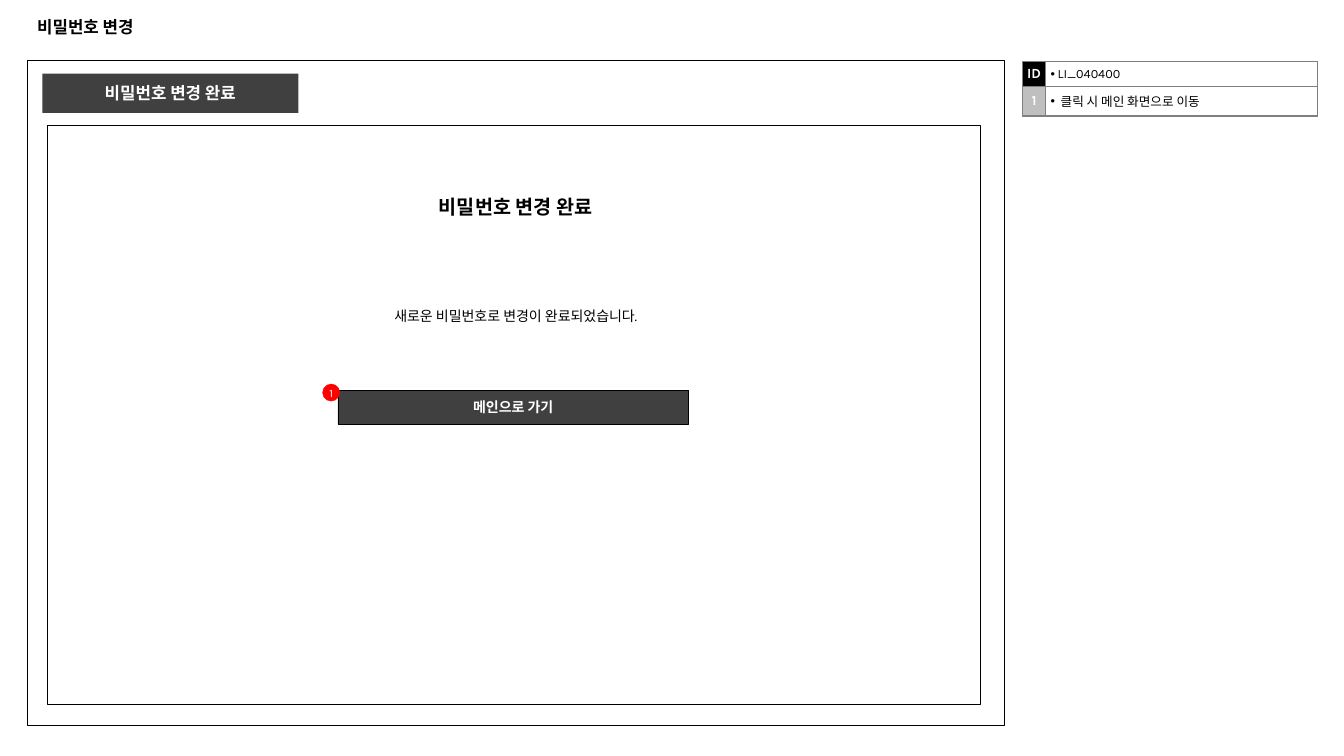
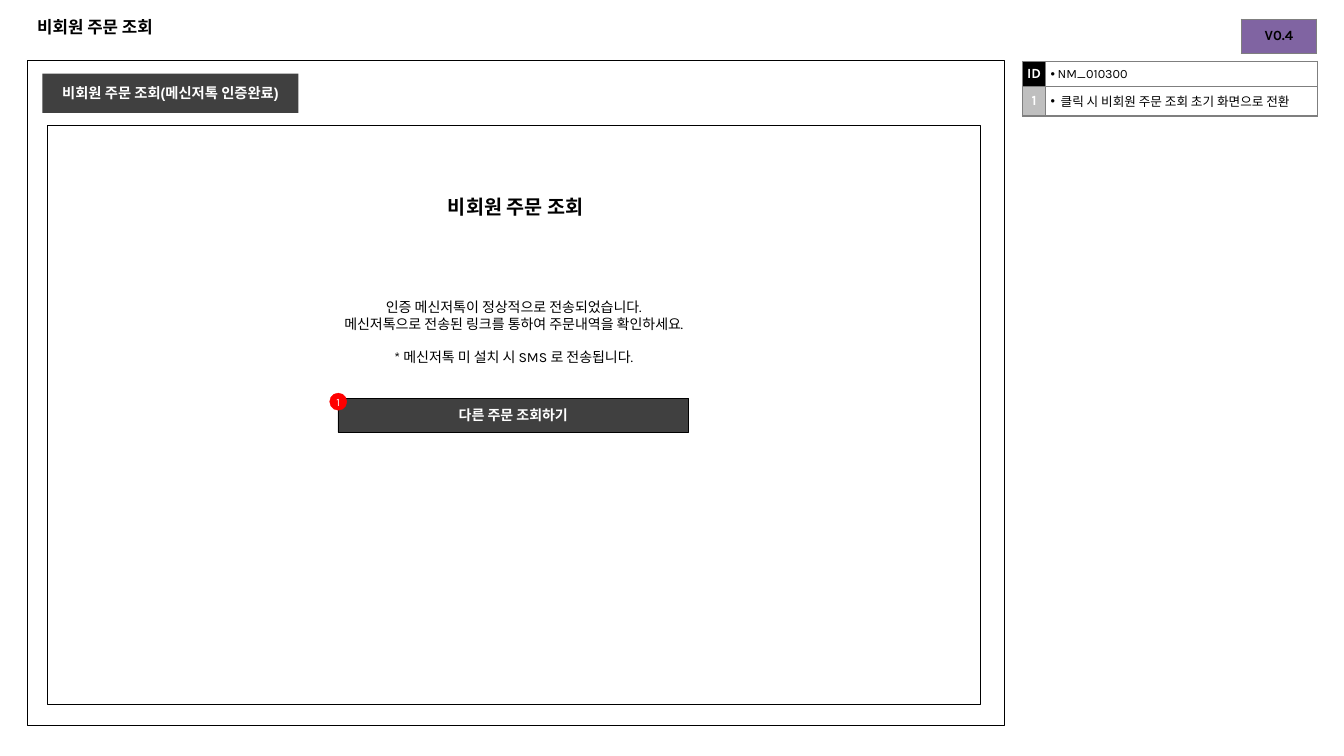
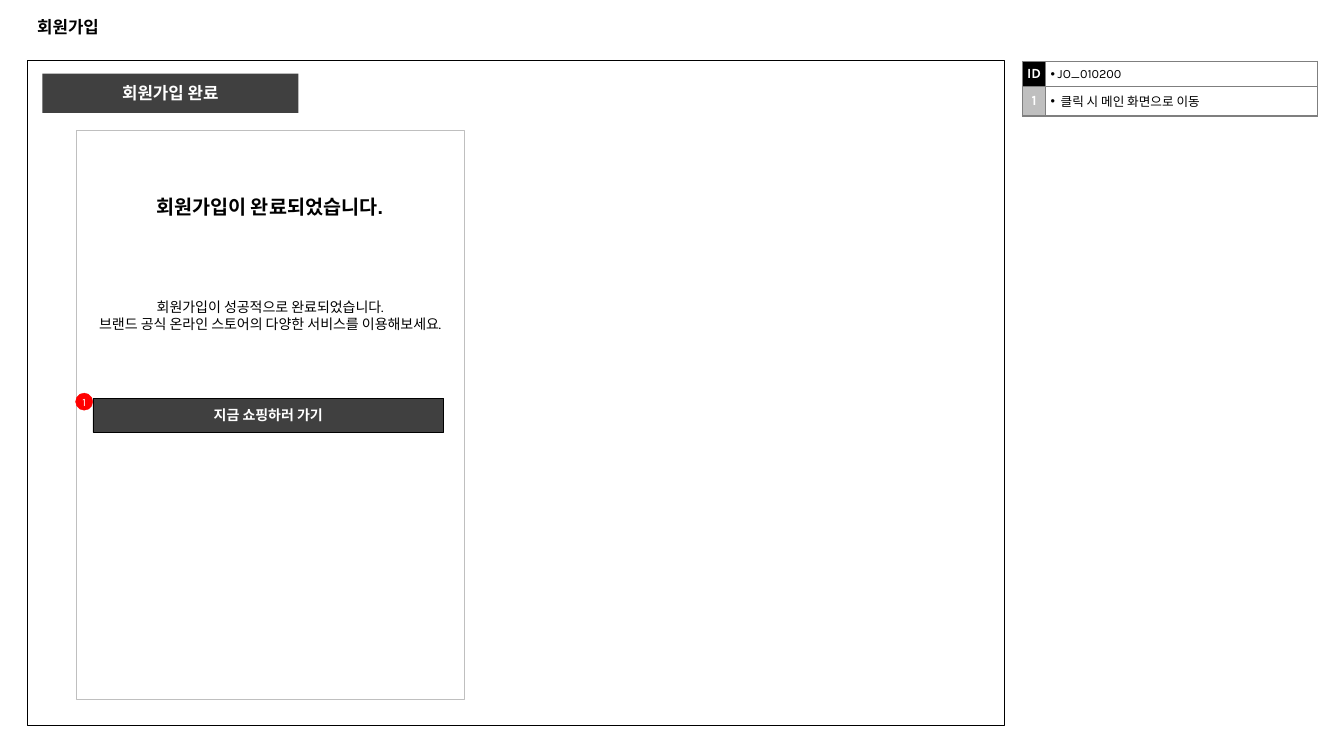
from dataclasses import dataclass
from typing import Optional

from lxml import etree
from pptx import Presentation
from pptx.dml.color import RGBColor
from pptx.enum.shapes import MSO_SHAPE
from pptx.enum.text import MSO_ANCHOR, PP_ALIGN
from pptx.oxml.ns import qn
from pptx.util import Inches, Pt

RECTANGLE, OVAL = MSO_SHAPE.RECTANGLE, MSO_SHAPE.OVAL
TOP, MIDDLE = MSO_ANCHOR.TOP, MSO_ANCHOR.MIDDLE
LEFT, CENTER = PP_ALIGN.LEFT, PP_ALIGN.CENTER

COLORS = {
    "black": "000000",
    "white": "FFFFFF",
    "dark": "404040",
    "border": "7F7F7F",
    "light": "BFBFBF",
    "marker": "FF0000",
    "version": "8064A2",
}
HEADING_FONT, BODY_FONT, KOREAN_FONT = "Arial", "Karla", "Noto Sans CJK KR"
DEFAULT_INSETS = (0.1, 0.05)
BUTTON_SIZE = (3.48, 0.34)
MARKER_SIZE = 0.17


@dataclass(frozen=True)
class Box:
    left: float
    top: float
    width: float
    height: float

    def lengths(self) -> tuple:
        return tuple(Inches(v) for v in (self.left, self.top, self.width, self.height))


@dataclass(frozen=True)
class Style:
    size: float
    font: str = BODY_FONT
    color: str = "black"
    bold: bool = False
    align: PP_ALIGN = CENTER


@dataclass(frozen=True)
class Line:
    text: str
    space_before: float = 0


@dataclass(frozen=True)
class Cell:
    text: str
    style: Style
    fill: Optional[str] = None
    bullet_indent: float = 0
    inset: float = 0
    anchor: MSO_ANCHOR = MIDDLE


@dataclass(frozen=True)
class Screen:
    title: str
    label: str
    screen_id: str
    action: str
    panel: Box
    panel_line: str
    heading: str
    heading_box: Box
    message: tuple[Line, ...]
    message_box: Box
    button: str
    button_at: tuple[float, float]
    marker_at: tuple[float, float]
    label_size: float = 12
    version: Optional[str] = None


TITLE_STYLE = Style(12, HEADING_FONT, bold=True, align=LEFT)
HEADING_STYLE = Style(14, HEADING_FONT, bold=True)
MESSAGE_STYLE = Style(10)
BUTTON_STYLE = Style(10, KOREAN_FONT, "white", True)
MARKER_STYLE = Style(8, color="white")
KEY_STYLE = Style(10, color="white", bold=True)
NOTE_STYLE = Style(9, align=LEFT)
VERSION_STYLE = Style(10, bold=True)

TITLE_BOX = Box(0.27, 0.07, 12.79, 0.39)
FRAME_BOX = Box(0.27, 0.6, 9.69, 6.6)
LABEL_BOX = Box(0.42, 0.73, 2.54, 0.39)
WIDE_PANEL = Box(0.47, 1.24, 9.25, 5.75)
NARROW_PANEL = Box(0.76, 1.29, 3.84, 5.65)

SCREENS = (
    Screen(
        title="비밀번호 변경",
        label="비밀번호 변경 완료",
        screen_id="LI_040400",
        action="클릭 시 메인 화면으로 이동",
        panel=WIDE_PANEL,
        panel_line="black",
        heading="비밀번호 변경 완료",
        heading_box=Box(3.64, 1.88, 2.95, 0.34),
        message=(Line("새로운 비밀번호로 변경이 완료되었습니다."),),
        message_box=Box(3.21, 3.01, 3.81, 0.3),
        button="메인으로 가기",
        button_at=(3.35, 3.87),
        marker_at=(3.2, 3.81),
    ),
    Screen(
        title="비회원 주문 조회",
        label="비회원 주문 조회(메신저톡 인증완료)",
        label_size=10.2,
        screen_id="NM_010300",
        action="클릭 시 비회원 주문 조회 초기 화면으로 전환",
        panel=WIDE_PANEL,
        panel_line="black",
        heading="비회원 주문 조회",
        heading_box=Box(3.69, 1.88, 2.85, 0.34),
        message=(
            Line("인증 메신저톡이 정상적으로 전송되었습니다."),
            Line("메신저톡으로 전송된 링크를 통하여 주문내역을 확인하세요."),
            Line("* 메신저톡 미 설치 시 SMS 로 전송됩니다.", 12),
        ),
        message_box=Box(3.07, 2.92, 4.05, 0.65),
        button="다른 주문 조회하기",
        button_at=(3.35, 3.95),
        marker_at=(3.27, 3.9),
        version="V0.4",
    ),
    Screen(
        title="회원가입",
        label="회원가입 완료",
        screen_id="JO_010200",
        action="클릭 시 메인 화면으로 이동",
        panel=NARROW_PANEL,
        panel_line="light",
        heading="회원가입이 완료되었습니다.",
        heading_box=Box(1.25, 1.88, 2.85, 0.34),
        message=(
            Line("회원가입이 성공적으로 완료되었습니다."),
            Line("브랜드 공식 온라인 스토어의 다양한 서비스를 이용해보세요."),
        ),
        message_box=Box(0.76, 2.92, 3.84, 0.65),
        button="지금 쇼핑하러 가기",
        button_at=(0.92, 3.95),
        marker_at=(0.75, 3.9),
    ),
)


def rgb(name: str) -> RGBColor:
    return RGBColor.from_string(COLORS[name])


def style_paragraph(paragraph, text: str, style: Style) -> None:
    paragraph.text = text
    paragraph.alignment = style.align
    font = paragraph.font
    font.size = Pt(style.size)
    font.bold = style.bold
    font.name = style.font
    font.color.rgb = rgb(style.color)
    properties = paragraph._p.get_or_add_pPr().get_or_add_defRPr()
    etree.SubElement(properties, qn("a:ea"), typeface=KOREAN_FONT)


def write_lines(frame, lines: tuple[Line, ...], style: Style,
                insets: tuple[float, float] = DEFAULT_INSETS,
                anchor: MSO_ANCHOR = MIDDLE) -> None:
    frame.word_wrap = True
    frame.vertical_anchor = anchor
    frame.margin_left = frame.margin_right = Inches(insets[0])
    frame.margin_top = frame.margin_bottom = Inches(insets[1])
    for index, line in enumerate(lines):
        paragraph = frame.add_paragraph() if index else frame.paragraphs[0]
        if line.space_before:
            paragraph.space_before = Pt(line.space_before)
        style_paragraph(paragraph, line.text, style)


def draw_text(slide, box: Box, lines: tuple[Line, ...], style: Style,
              insets: tuple[float, float] = DEFAULT_INSETS,
              anchor: MSO_ANCHOR = TOP) -> None:
    text_box = slide.shapes.add_textbox(*box.lengths())
    write_lines(text_box.text_frame, lines, style, insets, anchor)


def draw_shape(slide, box: Box, fill: Optional[str] = None, line: Optional[str] = None,
               line_width: float = 0.25, text: str = "", style: Optional[Style] = None,
               kind: MSO_SHAPE = RECTANGLE,
               insets: tuple[float, float] = DEFAULT_INSETS) -> None:
    shape = slide.shapes.add_shape(kind, *box.lengths())
    shape.shadow.inherit = False
    if fill:
        shape.fill.solid()
        shape.fill.fore_color.rgb = rgb(fill)
    else:
        shape.fill.background()
    if line:
        shape.line.color.rgb = rgb(line)
        shape.line.width = Pt(line_width)
    else:
        shape.line.fill.background()
    if style:
        write_lines(shape.text_frame, (Line(text),), style, insets)


def add_borders(table_cell) -> None:
    properties = table_cell._tc.get_or_add_tcPr()
    for side in ("a:lnL", "a:lnR", "a:lnT", "a:lnB"):
        border = etree.SubElement(properties, qn(side), w=str(Pt(1)))
        solid = etree.SubElement(border, qn("a:solidFill"))
        etree.SubElement(solid, qn("a:srgbClr"), val=COLORS["border"])


def add_bullet(paragraph, indent: float) -> None:
    properties = paragraph._p.get_or_add_pPr()
    properties.set("marL", str(Inches(indent)))
    properties.set("indent", str(-Inches(indent)))
    etree.SubElement(properties, qn("a:buFont"), typeface="Arial")
    etree.SubElement(properties, qn("a:buChar"), char="•")


def fill_cell(table_cell, cell: Cell) -> None:
    add_borders(table_cell)
    if cell.fill:
        table_cell.fill.solid()
        table_cell.fill.fore_color.rgb = rgb(cell.fill)
    else:
        table_cell.fill.background()
    table_cell.vertical_anchor = cell.anchor
    table_cell.margin_left = table_cell.margin_right = Inches(cell.inset)
    table_cell.margin_top = table_cell.margin_bottom = Inches(cell.inset)
    paragraph = table_cell.text_frame.paragraphs[0]
    if cell.bullet_indent:
        add_bullet(paragraph, cell.bullet_indent)
    style_paragraph(paragraph, cell.text, cell.style)


def draw_table(slide, left: float, top: float, widths: tuple[float, ...],
               heights: tuple[float, ...], rows: tuple[tuple[Cell, ...], ...]) -> None:
    box = Box(left, top, sum(widths), sum(heights))
    table = slide.shapes.add_table(len(rows), len(widths), *box.lengths()).table
    table.first_row = table.horz_banding = False
    for column, width in zip(table.columns, widths):
        column.width = Inches(width)
    for row_index, (cells, height) in enumerate(zip(rows, heights)):
        table.rows[row_index].height = Inches(height)
        for column_index, cell in enumerate(cells):
            fill_cell(table.cell(row_index, column_index), cell)


def note_cell(text: str, indent: float) -> Cell:
    return Cell(text, NOTE_STYLE, bullet_indent=indent, inset=0.05, anchor=TOP)


def draw_screen(slide, screen: Screen) -> None:
    draw_shape(slide, FRAME_BOX, line="black", line_width=0.75)
    draw_text(slide, TITLE_BOX, (Line(screen.title),), TITLE_STYLE, anchor=MIDDLE)
    draw_shape(slide, screen.panel, line=screen.panel_line)
    draw_shape(slide, LABEL_BOX, "dark", text=screen.label,
               style=Style(screen.label_size, HEADING_FONT, "white", True))
    draw_table(slide, 10.14, 0.61, (0.23, 2.7), (0.25, 0.29), (
        (Cell("ID", KEY_STYLE, "black"), note_cell(screen.screen_id, 0.07)),
        (Cell("1", KEY_STYLE, "light"), note_cell(screen.action, 0.1)),
    ))
    draw_text(slide, screen.heading_box, (Line(screen.heading),), HEADING_STYLE)
    draw_text(slide, screen.message_box, screen.message, MESSAGE_STYLE, (0.04, 0.04))
    draw_shape(slide, Box(*screen.button_at, *BUTTON_SIZE), "dark", "black",
               text=screen.button, style=BUTTON_STYLE)
    draw_shape(slide, Box(*screen.marker_at, MARKER_SIZE, MARKER_SIZE), "marker", "marker",
               text="1", style=MARKER_STYLE, kind=OVAL, insets=(0, 0))
    if screen.version:
        draw_table(slide, 12.31, 0.19, (0.75,), (0.34,),
                   ((Cell(screen.version, VERSION_STYLE, "version"),),))


def main() -> None:
    presentation = Presentation()
    presentation.slide_width = Inches(13.33)
    presentation.slide_height = Inches(7.5)
    blank_layout = presentation.slide_layouts[6]
    for screen in SCREENS:
        draw_screen(presentation.slides.add_slide(blank_layout), screen)
    presentation.save("out.pptx")


if __name__ == "__main__":
    main()
